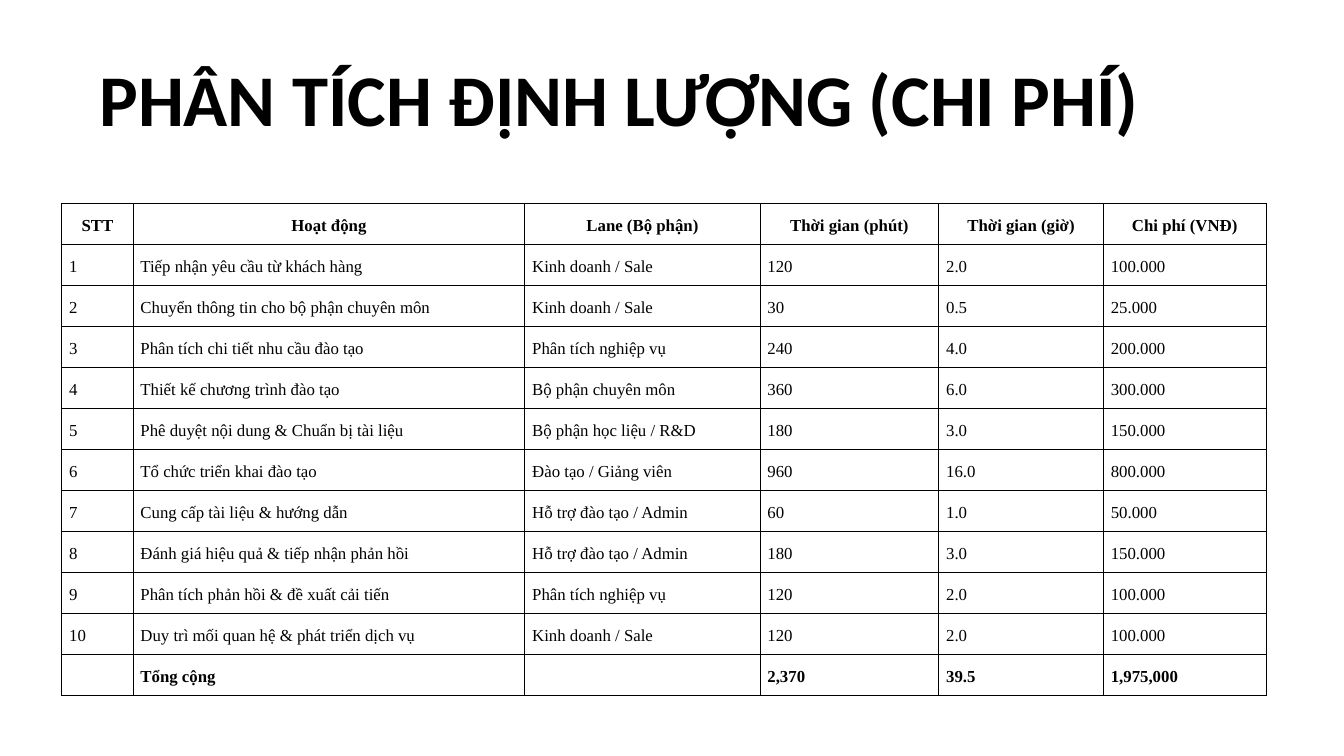
from lxml.etree import SubElement
from pptx import Presentation
from pptx.dml.color import RGBColor
from pptx.enum.text import MSO_ANCHOR as Anchor, PP_ALIGN as Align
from pptx.oxml.ns import qn
from pptx.util import Emu, Pt

PX = 9144  # 100 px to the inch
COLUMN_WIDTHS = [106, 583, 350, 266, 245, 242]
ROW_HEIGHT = 61

HEADINGS = ["STT", "Hoạt động", "Lane (Bộ phận)", "Thời gian (phút)",
            "Thời gian (giờ)", "Chi phí (VNĐ)"]
ACTIVITIES = [
    ("Tiếp nhận yêu cầu từ khách hàng", "Kinh doanh / Sale", "120", "2.0", "100.000"),
    ("Chuyển thông tin cho bộ phận chuyên môn", "Kinh doanh / Sale", "30", "0.5", "25.000"),
    ("Phân tích chi tiết nhu cầu đào tạo", "Phân tích nghiệp vụ", "240", "4.0", "200.000"),
    ("Thiết kế chương trình đào tạo", "Bộ phận chuyên môn", "360", "6.0", "300.000"),
    ("Phê duyệt nội dung & Chuẩn bị tài liệu", "Bộ phận học liệu / R&D", "180", "3.0", "150.000"),
    ("Tổ chức triển khai đào tạo", "Đào tạo / Giảng viên", "960", "16.0", "800.000"),
    ("Cung cấp tài liệu & hướng dẫn", "Hỗ trợ đào tạo / Admin", "60", "1.0", "50.000"),
    ("Đánh giá hiệu quả & tiếp nhận phản hồi", "Hỗ trợ đào tạo / Admin", "180", "3.0", "150.000"),
    ("Phân tích phản hồi & đề xuất cải tiến", "Phân tích nghiệp vụ", "120", "2.0", "100.000"),
    ("Duy trì mối quan hệ & phát triển dịch vụ", "Kinh doanh / Sale", "120", "2.0", "100.000"),
]
TOTALS = ["", "Tổng cộng", "", "2,370", "39.5", "1,975,000"]


def px(length):
    return Emu(length * PX)


def color(hex_string):
    return RGBColor.from_string(hex_string)


class Deck:
    """Holds the style and the current slide."""
    ink = "000000"
    title_font = "Calibri"
    table_font = "Times New Roman"
    cell_margin = 11

    def __init__(self, width, height):
        self.deck = Presentation()
        self.deck.slide_width, self.deck.slide_height = px(width), px(height)
        self.slide = self.deck.slides.add_slide(self.deck.slide_layouts[6])

    def set_text(self, paragraph, text, font_name, size, bold, spacing, align=Align.LEFT):
        paragraph.text = text
        paragraph.alignment = align
        paragraph.line_spacing = spacing
        font = paragraph.font
        font.name, font.size, font.bold = font_name, Pt(size), bold
        font.color.rgb = color(self.ink)

    def title(self, text, left, top, width, height):
        frame = self.slide.shapes.add_textbox(
            px(left), px(top), px(width), px(height)).text_frame
        frame.word_wrap = True
        frame.vertical_anchor = Anchor.MIDDLE
        self.set_text(frame.paragraphs[0], text, self.title_font, 78, True, 0.9)

    def border(self, cell):
        properties = cell._tc.get_or_add_tcPr()
        for side in ("a:lnL", "a:lnR", "a:lnT", "a:lnB"):
            line = SubElement(properties, qn(side), w=str(Pt(1)))
            fill = SubElement(line, qn("a:solidFill"))
            SubElement(fill, qn("a:srgbClr"), val=self.ink)

    def table(self, rows, left, top, widths, row_height):
        table = self.slide.shapes.add_table(
            len(rows), len(widths), px(left), px(top),
            px(sum(widths)), px(row_height * len(rows))).table
        table.first_row = table.horz_banding = False
        for column, width in zip(table.columns, widths):
            column.width = px(width)
        last = len(rows) - 1
        for r, row in enumerate(rows):
            for c, text in enumerate(row):
                cell = table.cell(r, c)
                self.border(cell)
                cell.fill.background()
                cell.vertical_anchor = Anchor.MIDDLE
                cell.margin_left = cell.margin_right = px(self.cell_margin)
                cell.margin_top = cell.margin_bottom = px(self.cell_margin)
                self.set_text(cell.text_frame.paragraphs[0], text, self.table_font, 18,
                              r in (0, last), 1.15, Align.LEFT if r else Align.CENTER)


def main():
    costs = Deck(2000, 1125)

    # Heading
    costs.title("PHÂN TÍCH ĐỊNH LƯỢNG (CHI PHÍ)", 138, 30, 1725, 247)

    # Cost table: headings, numbered activities, totals
    numbered = [[str(number), *activity] for number, activity in enumerate(ACTIVITIES, 1)]
    costs.table([HEADINGS, *numbered, TOTALS], 92, 303, COLUMN_WIDTHS, ROW_HEIGHT)

    costs.deck.save("out.pptx")


if __name__ == "__main__":
    main()
